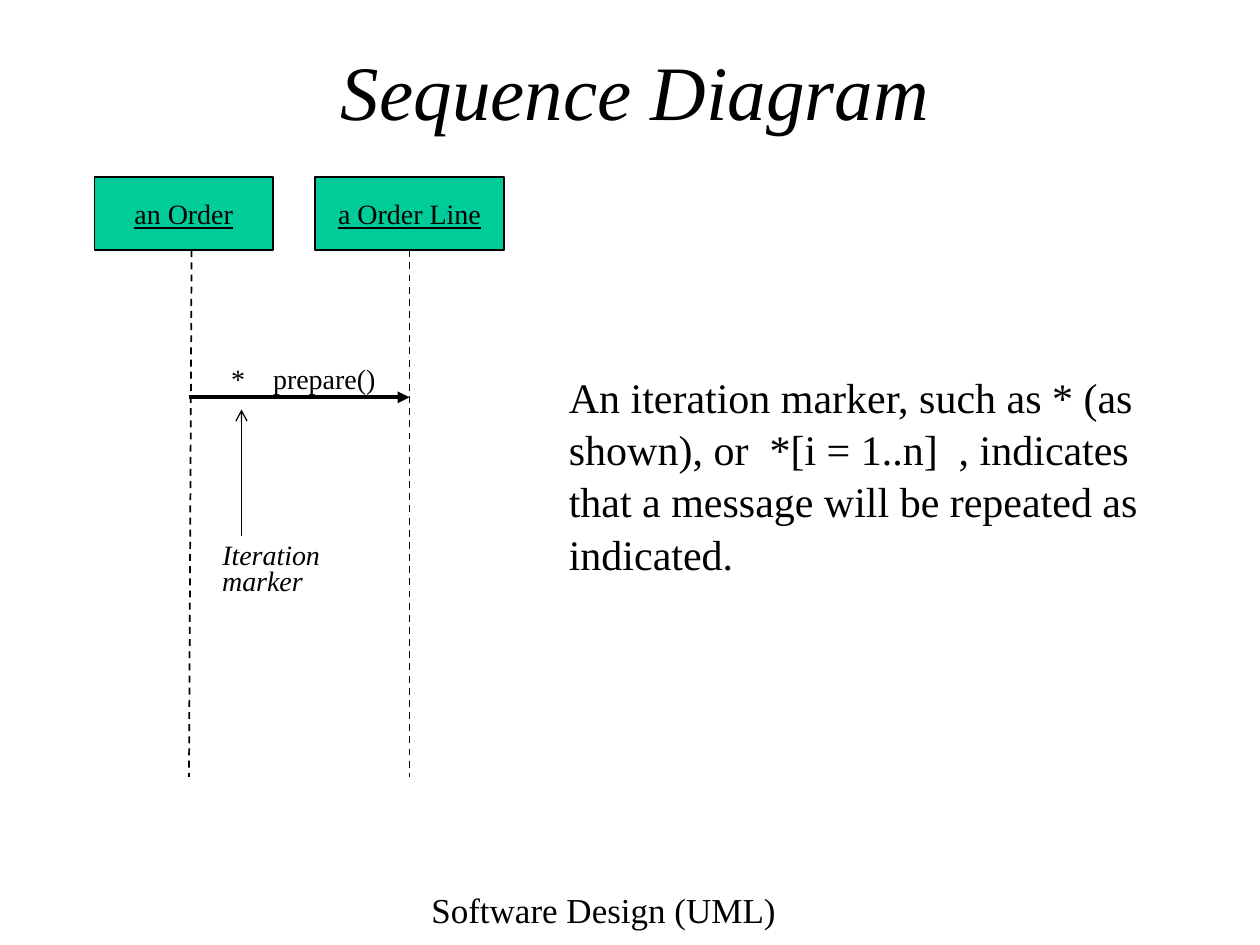
import pptx
import pptx.dml.color
import pptx.enum.dml
import pptx.enum.shapes
import pptx.enum.text
import pptx.oxml.ns
import pptx.util
from lxml import etree

Pt = pptx.util.Pt
ALIGN = pptx.enum.text.PP_ALIGN
ANCHOR = pptx.enum.text.MSO_ANCHOR
COLOURS = {"ink": "000000", "object": "00CC99", "paper": "FFFFFF"}
FONT = "Times New Roman"


def colour(name):
    return pptx.dml.color.RGBColor.from_string(COLOURS[name])


def add_element(parent, tag, **attributes):
    return etree.SubElement(parent, pptx.oxml.ns.qn(tag), **attributes)


def write(shape, text, size, align=ALIGN.LEFT, anchor=ANCHOR.TOP, wrap=True,
          italic=False, underline=False, tab=None):
    frame = shape.text_frame
    frame.auto_size = pptx.enum.text.MSO_AUTO_SIZE.NONE
    frame.word_wrap = wrap
    frame.vertical_anchor = anchor
    para = frame.paragraphs[0]
    para.alignment = align
    if tab:
        stops = add_element(para._p.get_or_add_pPr(), "a:tabLst")
        add_element(stops, "a:tab", pos=str(Pt(tab)), algn="l")
    span = para.add_run()
    span.text = text
    span.font.name = FONT
    span.font.size = Pt(size)
    span.font.italic = italic
    span.font.underline = underline
    span.font.color.rgb = colour("ink")
    return para


def add_text(page, box, text, size, **style):
    return write(page.shapes.add_textbox(*map(Pt, box)), text, size, **style)


def add_line(page, start, end, width, dashed=False, arrow=None):
    line = page.shapes.add_connector(
        pptx.enum.shapes.MSO_CONNECTOR.STRAIGHT, *map(Pt, start + end))
    line.line.color.rgb = colour("ink")
    line.line.width = Pt(width)
    if dashed:
        line.line.dash_style = pptx.enum.dml.MSO_LINE.DASH
    if arrow:
        add_element(line.line._get_or_add_ln(), "a:tailEnd", type=arrow)
    add_element(line._element.spPr, "a:effectLst")


def add_title(page, box):
    title = page.shapes.title
    title.left, title.top, title.width, title.height = map(Pt, box)
    write(title, "Sequence Diagram", 44, align=ALIGN.CENTER,
          anchor=ANCHOR.MIDDLE, italic=True)


def add_lifeline(page, box, name, foot):
    left, top, width, height = box
    head = page.shapes.add_shape(
        pptx.enum.shapes.MSO_SHAPE.RECTANGLE, *map(Pt, box))
    head.shadow.inherit = False
    head.fill.solid()
    head.fill.fore_color.rgb = colour("object")
    head.line.color.rgb = colour("ink")
    head.line.width = Pt(1)
    write(head, name, 16, align=ALIGN.CENTER, anchor=ANCHOR.MIDDLE,
          wrap=False, underline=True)
    add_line(page, (foot[0][0], top + height), foot[1], 1, dashed=True)


def add_diagram(page, box):
    left, top, width, height = box
    bottom = top + height
    order, order_line = left + 54, left + 180
    message = top + 126
    add_lifeline(page, (left, top, 102, 42), "an Order",
                 ((order + 1.5, top), (order, bottom)))
    add_lifeline(page, (left + 126, top, 108, 42), "a Order Line",
                 ((order_line, top), (order_line, bottom)))
    add_line(page, (order, message), (order_line, message), 2.25,
             arrow="triangle")
    add_text(page, (left + 71, message - 24, 97, 27), "*\tprepare()", 16,
             wrap=False, tab=24)
    marker = left + 84
    add_line(page, (marker, message + 79), (marker, message + 7), 0.75,
             arrow="arrow")
    for row, (word, breadth) in enumerate((("Iteration", 70), ("marker", 60))):
        add_text(page, (left + 66, message + 76 + 15 * row, breadth, 27),
                 word, 16, align=ALIGN.CENTER, anchor=ANCHOR.MIDDLE,
                 wrap=False, italic=True)


def add_explanation(page, box):
    para = add_text(
        page, box,
        "An iteration marker, such as * (as shown), or  *[i = 1..n]  , "
        "indicates that a message will be repeated as indicated.",
        24, anchor=ANCHOR.MIDDLE)
    para.line_spacing = 1.04


def add_footer(page, box):
    add_text(page, box, "Software Design (UML)", 20, align=ALIGN.CENTER)


def main():
    deck = pptx.Presentation()
    deck.slide_width, deck.slide_height = Pt(720), Pt(540)
    page = deck.slides.add_slide(deck.slide_layouts[5])
    page.background.fill.solid()
    page.background.fill.fore_color.rgb = colour("paper")
    add_footer(page, (186, 504, 318, 36))
    add_title(page, (54, 30, 618, 42))
    add_diagram(page, (54, 101, 234, 343))
    add_explanation(page, (318, 209.5, 366, 122.5))
    deck.save("out.pptx")


if __name__ == "__main__":
    main()
